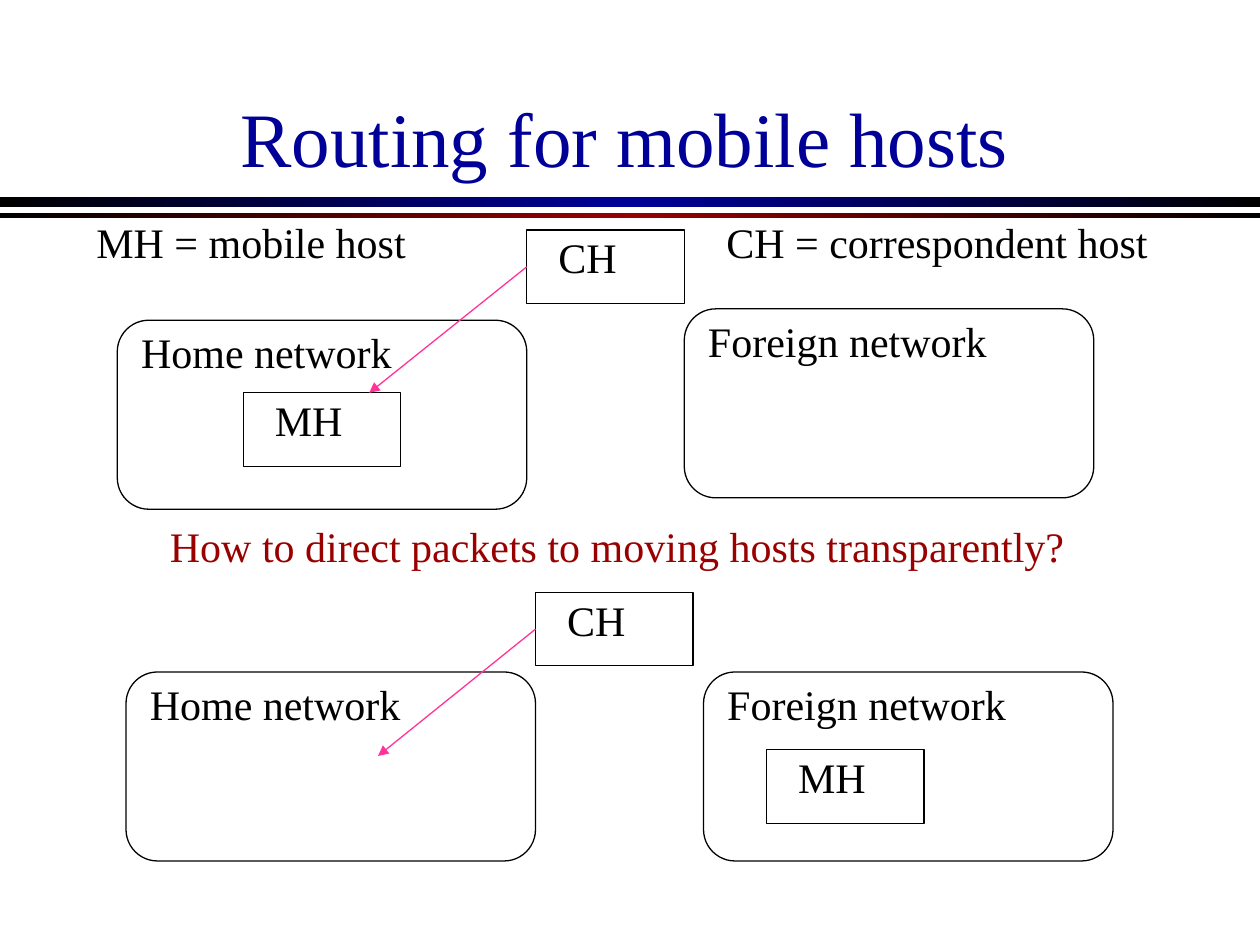
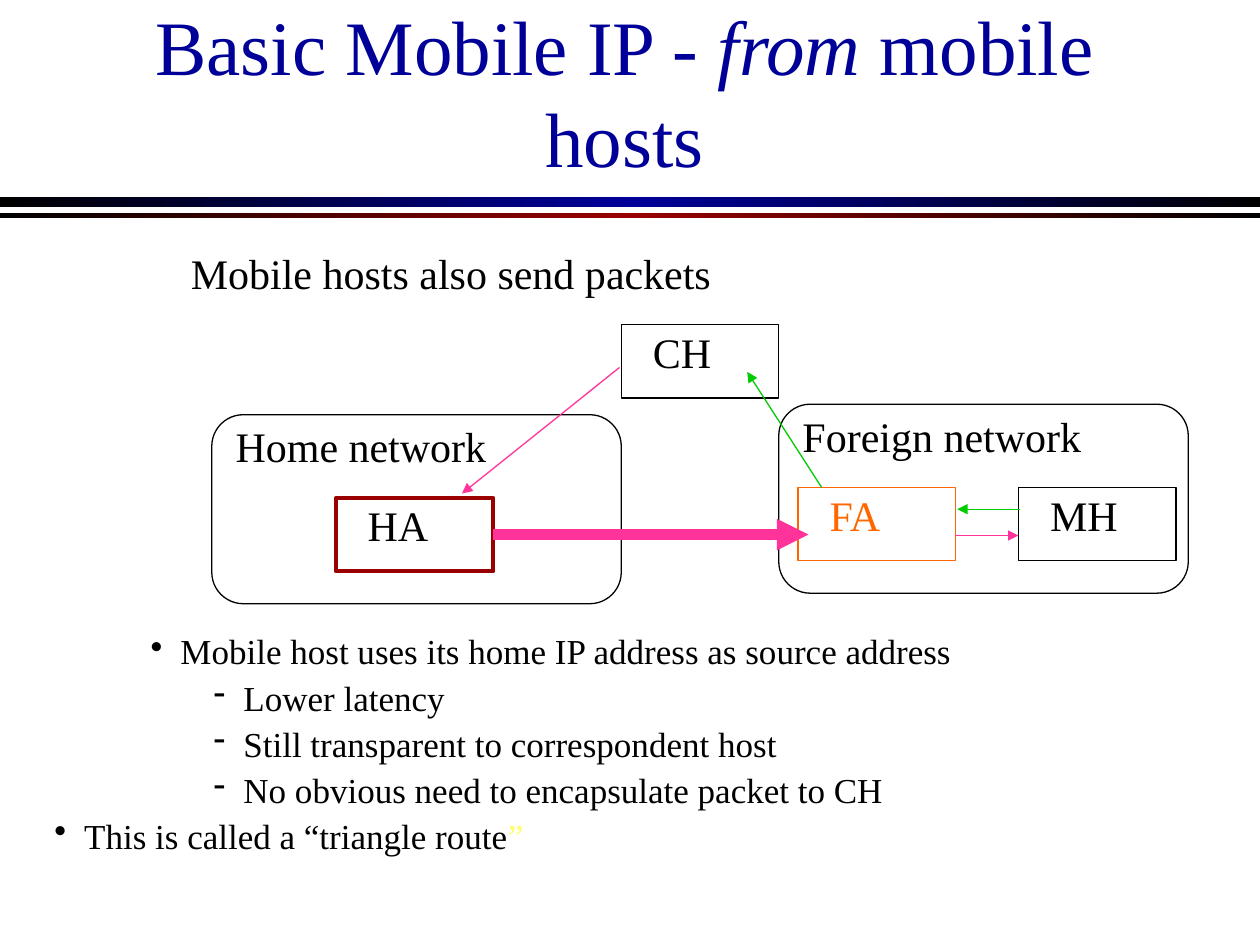
from copy import deepcopy
from dataclasses import dataclass
from typing import NamedTuple, Optional

from lxml import etree
from pptx import Presentation
from pptx.dml.color import RGBColor
from pptx.enum import shapes as kinds
from pptx.enum import text as txt
from pptx.oxml.ns import qn
from pptx.util import Pt


@dataclass(frozen=True)
class Theme:
    font: str = "Times New Roman"
    black: str = "000000"
    navy: str = "000099"
    maroon: str = "990000"
    pink: str = "FF3399"
    green: str = "00CC00"
    orange: str = "FF6600"
    yellow: str = "FFFF66"
    title_size: float = 44
    label_size: float = 24
    body_size: float = 20
    thin: float = 0.75
    frame: float = 2.25
    tunnel: float = 6


THEME = Theme()
NETWORK_SIZE = (234, 108)
HOST_SIZE = (90, 42)
BULLET_HANG = 17
LABEL_WIDTHS = {
    "Home network": 159, "Foreign network": 175,
    "CH": 49, "MH": 54, "HA": 50, "FA": 46,
}


class Band(NamedTuple):
    top: float
    height: float
    middle: str


class Network(NamedTuple):
    name: str
    left: float
    top: float


class Host(NamedTuple):
    name: str
    left: float
    top: float
    outline: str = THEME.black
    ink: str = THEME.black
    weight: float = THEME.thin


class Note(NamedTuple):
    words: str
    left: float
    top: float
    width: float
    ink: str = THEME.black


class Route(NamedTuple):
    start: tuple[float, float]
    end: tuple[float, float]
    colour: str = THEME.pink
    weight: float = THEME.thin
    source: Optional[str] = None
    side: int = 1


class Point(NamedTuple):
    words: str
    margin: float
    mark: str


class Scene(NamedTuple):
    networks: list[Network]
    hosts: list[Host]
    routes: list[Route]


BANDS = [Band(112.5, 5.75, THEME.navy), Band(121.75, 3, THEME.maroon)]

AT_HOME = Scene(
    [Network("Home network", 67, 183), Network("Foreign network", 391, 176.5)],
    [Host("MH", 139, 224.5), Host("CH", 301, 131.5)],
    [Route((301, 152.5), (211, 224.5), source="CH")],
)
AWAY = Scene(
    [Network("Home network", 72, 384), Network("Foreign network", 402, 384)],
    [Host("CH", 306, 338.5), Host("MH", 438, 428.5)],
    [Route((306, 359.5), (216, 432), source="CH")],
)
TRIANGLE = Scene(
    [Network("Home network", 121, 237), Network("Foreign network", 445, 231)],
    [
        Host("HA", 192, 284.5, outline=THEME.maroon, weight=THEME.frame),
        Host("CH", 355, 185.5),
        Host("FA", 456, 278.5, outline=THEME.orange, ink=THEME.orange),
        Host("MH", 582, 278.5),
    ],
    [
        Route((354, 210), (264, 282)),
        Route((282, 305.5), (462, 305.5), weight=THEME.tunnel, source="HA", side=3),
        Route((546, 306), (582, 306)),
        Route((583, 291), (547, 291), THEME.green),
        Route((469.5, 278.5), (427, 212.5), THEME.green),
    ],
)
POINTS = [
    Point("Mobile host uses its home IP address as source address", 72, "•"),
    Point("Lower latency", 108, "-"),
    Point("Still transparent to correspondent host", 108, "-"),
    Point("No obvious need to encapsulate packet to CH", 108, "-"),
    Point("This is called a “triangle route", BULLET_HANG, "•"),
]


def rgb(colour: str) -> RGBColor:
    return RGBColor.from_string(colour)


def style(run, size: float, colour: str, italic: bool = False) -> None:
    run.font.name = THEME.font
    run.font.size = Pt(size)
    run.font.color.rgb = rgb(colour)
    run.font.italic = italic


def add_run(paragraph, words: str, size: float, colour: str, italic: bool = False) -> None:
    run = paragraph.add_run()
    run.text = words
    style(run, size, colour, italic)


def draw_band(slide, band: Band) -> None:
    bar = slide.shapes.add_shape(
        kinds.MSO_SHAPE.RECTANGLE, 0, Pt(band.top), Pt(720), Pt(band.height))
    bar.shadow.inherit = False
    bar.line.fill.background()
    bar.fill.gradient()
    bar.fill.gradient_angle = 0
    for stop in bar.fill.gradient_stops:
        stop.color.rgb = rgb(THEME.black)
    stops = bar._element.spPr.find(".//" + qn("a:gsLst"))
    stops.insert(1, deepcopy(stops[0]))
    for stop, position in zip(bar.fill.gradient_stops, (0, 0.5, 1)):
        stop.position = position
    bar.fill.gradient_stops[1].color.rgb = rgb(band.middle)


def draw_title(slide, parts: list[tuple[str, bool]]) -> None:
    frame = slide.shapes.add_textbox(Pt(48), Pt(18), Pt(618), Pt(90)).text_frame
    frame.word_wrap = True
    frame.vertical_anchor = txt.MSO_ANCHOR.BOTTOM
    heading = frame.paragraphs[0]
    heading.alignment = txt.PP_ALIGN.CENTER
    for words, italic in parts:
        add_run(heading, words, THEME.title_size, THEME.navy, italic)


def draw_note(slide, note: Note) -> None:
    box = slide.shapes.add_textbox(Pt(note.left), Pt(note.top), Pt(note.width), Pt(36))
    frame = box.text_frame
    frame.word_wrap = False
    frame.auto_size = txt.MSO_AUTO_SIZE.SHAPE_TO_FIT_TEXT
    frame.text = note.words
    style(frame.paragraphs[0].runs[0], THEME.label_size, note.ink)


def draw_outline(slide, kind, left: float, top: float, size: tuple[float, float],
                 colour: str, weight: float):
    outline = slide.shapes.add_shape(kind, Pt(left), Pt(top), *map(Pt, size))
    outline.shadow.inherit = False
    outline.fill.background()
    outline.line.color.rgb = rgb(colour)
    outline.line.width = Pt(weight)
    return outline


def draw_network(slide, network: Network) -> None:
    draw_outline(slide, kinds.MSO_SHAPE.FLOWCHART_ALTERNATE_PROCESS, network.left,
                 network.top, NETWORK_SIZE, THEME.black, THEME.thin)
    draw_note(slide, Note(network.name, network.left + 6.5, network.top,
                          LABEL_WIDTHS[network.name]))


def draw_host(slide, host: Host):
    outline = draw_outline(slide, kinds.MSO_SHAPE.RECTANGLE, host.left, host.top,
                           HOST_SIZE, host.outline, host.weight)
    draw_note(slide, Note(host.name, host.left + 11, host.top - 2.5,
                          LABEL_WIDTHS[host.name], host.ink))
    return outline


def draw_route(slide, route: Route, hosts: dict) -> None:
    arrow = slide.shapes.add_connector(
        kinds.MSO_CONNECTOR.STRAIGHT, *map(Pt, route.start + route.end))
    if route.source:
        arrow.begin_connect(hosts[route.source], route.side)
    arrow.line.color.rgb = rgb(route.colour)
    arrow.line.width = Pt(route.weight)
    etree.SubElement(arrow.line._get_or_add_ln(), qn("a:tailEnd"), type="triangle")
    etree.SubElement(arrow._element.spPr, qn("a:effectLst"))


def draw_scene(slide, scene: Scene) -> None:
    for network in scene.networks:
        draw_network(slide, network)
    hosts = {host.name: draw_host(slide, host) for host in scene.hosts}
    for route in scene.routes:
        draw_route(slide, route, hosts)


def draw_points(slide, points: list[Point]) -> None:
    frame = slide.shapes.add_textbox(Pt(24), Pt(354), Pt(619), Pt(140)).text_frame
    frame.word_wrap = True
    for index, point in enumerate(points):
        paragraph = frame.add_paragraph() if index else frame.paragraphs[0]
        paragraph.text = point.words
        paragraph.line_spacing = 1.1
        style(paragraph.runs[0], THEME.body_size, THEME.black)
        properties = paragraph._p.get_or_add_pPr()
        properties.set("marL", str(Pt(point.margin)))
        properties.set("indent", str(-Pt(BULLET_HANG)))
        etree.SubElement(properties, qn("a:buChar"), char=point.mark)
    add_run(frame.paragraphs[-1], "”", THEME.body_size, THEME.yellow)


def start_slide(deck, title: list[tuple[str, bool]]):
    slide = deck.slides.add_slide(deck.slide_layouts[6])
    for band in BANDS:
        draw_band(slide, band)
    draw_title(slide, title)
    return slide


def main() -> None:
    deck = Presentation()
    deck.slide_width, deck.slide_height = Pt(720), Pt(540)

    routing = start_slide(deck, [("Routing for mobile hosts", False)])
    for scene in (AWAY, AT_HOME):
        draw_scene(routing, scene)
    for note in (
        Note("MH = mobile host", 48, 120, 194),
        Note("CH = correspondent host", 408, 120, 257),
        Note("How to direct packets to moving hosts transparently?",
             90, 294, 528, THEME.maroon),
    ):
        draw_note(routing, note)

    sending = start_slide(
        deck, [("Basic Mobile IP - ", False), ("from", True), (" mobile hosts", False)])
    draw_scene(sending, TRIANGLE)
    draw_note(sending, Note("Mobile hosts also send packets", 102, 138, 314))
    draw_points(sending, POINTS)

    deck.save("out.pptx")


if __name__ == "__main__":
    main()
